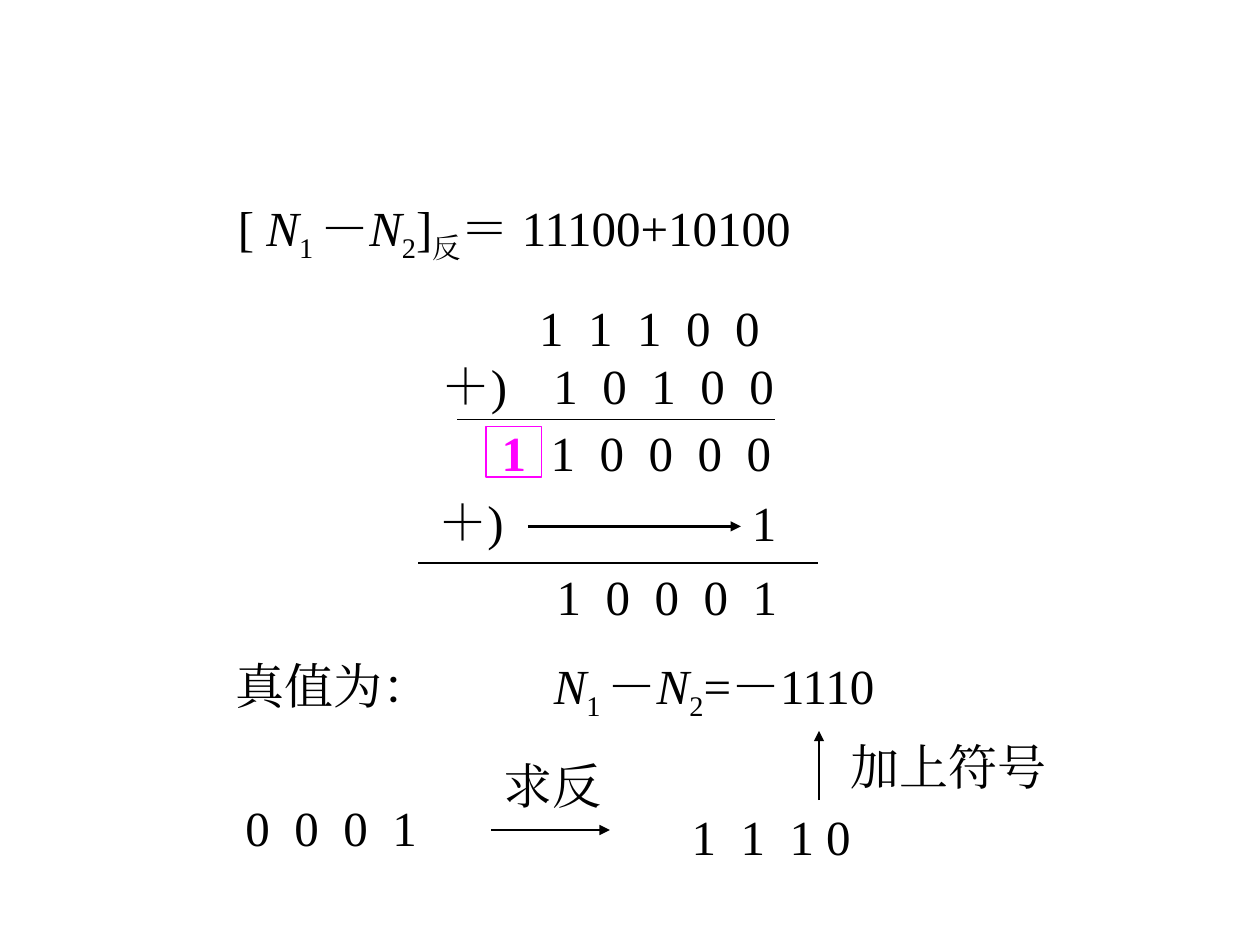
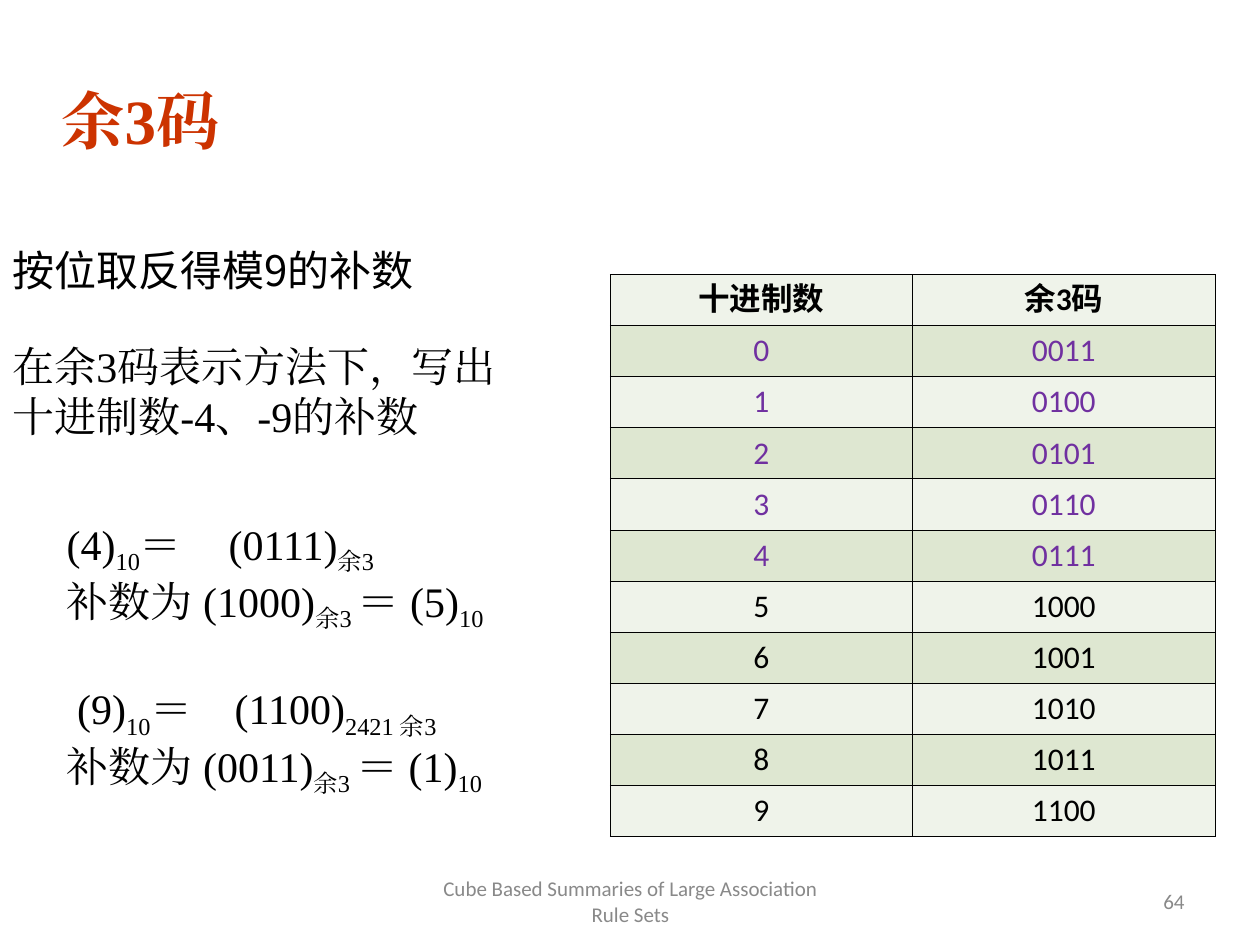
from dataclasses import dataclass
from typing import NamedTuple

from lxml import etree
from pptx import Presentation
from pptx.dml.color import RGBColor
from pptx.enum import lang, shapes, text
from pptx.oxml import ns
from pptx.util import Pt


@dataclass(frozen=True)
class Theme:
    black: str = "000000"
    magenta: str = "FF00FF"
    title_red: str = "CC3300"
    purple: str = "7030A0"
    grey: str = "898989"
    bands: tuple[str, str] = ("EFF3EA", "DEE7D1")
    serif: str = "Times New Roman"
    sans: str = "Calibri"
    chinese: str = "Noto Sans CJK SC"
    title_size: float = 36
    sum_size: float = 28
    body_size: float = 24
    table_size: float = 18
    footer_size: float = 12
    thin: float = 0.75
    thick: float = 1.5
    cell_border: float = 0.45


THEME = Theme()
LEFT, CENTER, RIGHT = text.PP_ALIGN.LEFT, text.PP_ALIGN.CENTER, text.PP_ALIGN.RIGHT
PLAIN_LEADING, SUBSCRIPT_LEADING = 1.2, 1.36
DIGIT_PITCH = 28


class Style(NamedTuple):
    size: float = THEME.sum_size
    color: str = THEME.black
    font: str = THEME.serif
    bold: bool = False


class Run(NamedTuple):
    text: str
    italic: bool = False
    subscript: bool = False
    bold: bool = False
    color: str | None = None


class Line(NamedTuple):
    runs: list[Run]
    tabs: tuple[float, ...] = ()
    space_before: float = 0
    leading: float | None = PLAIN_LEADING


class Label(NamedTuple):
    left: float
    top: float
    width: float
    height: float
    lines: list[Line]
    style: Style = Style()
    align: text.PP_ALIGN = LEFT
    anchor: text.MSO_ANCHOR = text.MSO_ANCHOR.TOP


class Stroke(NamedTuple):
    x1: float
    y1: float
    x2: float
    y2: float
    width: float = THEME.thin
    arrow: bool = False


def rgb(color: str) -> RGBColor:
    return RGBColor.from_string(color)


def sub(content: str) -> Run:
    return Run(content, subscript=True)


def var(content: str) -> Run:
    return Run(content, italic=True)


def plain(content: str) -> list[Line]:
    return [Line([Run(content)])]


def digit_tabs(first: float, count: int = 5) -> tuple[float, ...]:
    """Tab stops that put binary digits in equal columns."""
    return tuple(first + DIGIT_PITCH * i for i in range(count))


def digits(bits: str, lead: str = "", first: float = DIGIT_PITCH) -> Line:
    return Line([Run(lead + "\t".join(bits))], digit_tabs(first))


def add_tabs(paragraph, stops: tuple[float, ...]) -> None:
    tab_list = etree.SubElement(paragraph._p.get_or_add_pPr(), ns.qn("a:tabLst"))
    for stop in stops:
        etree.SubElement(tab_list, ns.qn("a:tab"), pos=str(Pt(stop)), algn="l")


def add_run(paragraph, run: Run, style: Style) -> None:
    part = paragraph.add_run()
    part.text = run.text
    font = part.font
    font.size, font.name = Pt(style.size), style.font
    font.bold, font.italic = run.bold or style.bold, run.italic
    font.color.rgb = rgb(run.color or style.color)
    font.language_id = lang.MSO_LANGUAGE_ID.SIMPLIFIED_CHINESE
    properties = part._r.get_or_add_rPr()
    etree.SubElement(properties, ns.qn("a:ea"), typeface=style.font)
    if run.subscript:
        properties.set("baseline", "-25000")


def fill_paragraph(paragraph, line: Line, style: Style, align: text.PP_ALIGN) -> None:
    if line.tabs:
        add_tabs(paragraph, line.tabs)
    paragraph.alignment = align
    if line.leading:
        paragraph.line_spacing = Pt(line.leading * style.size)
    if line.space_before:
        paragraph.space_before = Pt(line.space_before)
    for run in line.runs:
        add_run(paragraph, run, style)


def add_label(slide, label: Label) -> None:
    box = slide.shapes.add_textbox(
        Pt(label.left), Pt(label.top), Pt(label.width), Pt(label.height))
    frame = box.text_frame
    frame.word_wrap = True
    frame.vertical_anchor = label.anchor
    for i, line in enumerate(label.lines):
        paragraph = frame.add_paragraph() if i else frame.paragraphs[0]
        fill_paragraph(paragraph, line, label.style, label.align)


def add_stroke(slide, stroke: Stroke) -> None:
    connector = slide.shapes.add_connector(
        shapes.MSO_CONNECTOR.STRAIGHT,
        Pt(stroke.x1), Pt(stroke.y1), Pt(stroke.x2), Pt(stroke.y2))
    connector.line.color.rgb = rgb(THEME.black)
    connector.line.width = Pt(stroke.width)
    if stroke.arrow:
        etree.SubElement(connector.line._get_or_add_ln(), ns.qn("a:tailEnd"), type="triangle")
    etree.SubElement(connector._element.spPr, ns.qn("a:effectLst"))


def add_carry_frame(slide) -> None:
    frame = slide.shapes.add_shape(
        shapes.MSO_SHAPE.RECTANGLE, Pt(277.8), Pt(243.8), Pt(31.8), Pt(28.8))
    frame.shadow.inherit = False
    frame.fill.background()
    frame.line.color.rgb = rgb(THEME.magenta)
    frame.line.width = Pt(THEME.thin)


def add_borders(cell) -> None:
    properties = cell._tc.get_or_add_tcPr()
    for side in ("lnL", "lnR", "lnT", "lnB"):
        border = etree.SubElement(
            properties, ns.qn(f"a:{side}"), w=str(Pt(THEME.cell_border)))
        fill = etree.SubElement(border, ns.qn("a:solidFill"))
        etree.SubElement(fill, ns.qn("a:srgbClr"), val=THEME.black)


def add_code_table(slide) -> None:
    """Decimal digits 0 to 9 beside their excess-3 codes."""
    rows = [("十进制数", "余3码")] + [(str(n), f"{n + 3:04b}") for n in range(10)]
    row_height, column_width = 29.2, 172.8
    table = slide.shapes.add_table(
        len(rows), 2, Pt(348.7), Pt(156.8),
        Pt(2 * column_width), Pt(row_height * len(rows))).table
    table.first_row = table.horz_banding = False
    for column in table.columns:
        column.width = Pt(column_width)
    for r, values in enumerate(rows):
        table.rows[r].height = Pt(row_height)
        color = THEME.purple if 1 <= r <= 5 else THEME.black
        style = Style(THEME.table_size, color, THEME.sans, bold=r == 0)
        for c, value in enumerate(values):
            cell = table.cell(r, c)
            add_borders(cell)
            cell.fill.solid()
            cell.fill.fore_color.rgb = rgb(THEME.bands[r % 2])
            line = Line([Run(value)], leading=None)
            fill_paragraph(cell.text_frame.paragraphs[0], line, style, CENTER)


def add_footer(slide, content: str, left: float, width: float, align: text.PP_ALIGN) -> None:
    add_label(slide, Label(
        left, 500.5, width, 28.8, [Line([Run(content)], leading=None)],
        Style(THEME.footer_size, THEME.grey, THEME.sans), align, text.MSO_ANCHOR.MIDDLE))


def difference() -> list[Run]:
    return [var("N"), sub("1 "), Run("－"), var("N"), sub("2")]


def build_subtraction(slide) -> None:
    carry = Run("1", bold=True, color=THEME.magenta)
    labels = [
        Label(128.9, 109.4, 366, 45.4, [Line(
            [Run("[ "), *difference(), Run("]"), sub("反"), Run("＝ 11100+10100")],
            leading=SUBSCRIPT_LEADING)]),
        Label(245.5, 166.3, 216, 74.9,
              [digits("11100", "\t", 55.5), digits("10100", "＋)\t", 63.7)]),
        Label(279.5, 238, 176, 41,
              [Line([carry, Run("\t" + "\t".join("10000"))], digit_tabs(DIGIT_PITCH))]),
        Label(243.4, 277.5, 60, 41, plain("＋)")),
        Label(422.6, 278, 30, 41, plain("1")),
        Label(311, 320, 150, 41, [digits("10001")]),
        Label(127.4, 371, 414, 45.4, [Line(
            [Run("真值为：\t"), *difference(), Run("=－1110")],
            tabs=(182,), leading=SUBSCRIPT_LEADING)]),
        Label(133.2, 452, 119, 41, [digits("0001")]),
        Label(388.1, 457.5, 161, 41, [Line([Run("1\t1\t1 0")], digit_tabs(DIGIT_PITCH, 2))]),
        Label(478.8, 417.6, 130.3, 41, plain("加上符号")),
        Label(280.8, 428.4, 79.2, 41, plain("求反")),
    ]
    strokes = [
        Stroke(261.4, 239.6, 442.8, 239.6),
        Stroke(301.7, 300.8, 423.4, 300.8, THEME.thick, True),
        Stroke(239, 321.8, 467.3, 321.8),
        Stroke(280.8, 474.3, 348.5, 474.3, THEME.thick, True),
        Stroke(468, 457.2, 468, 417.6, THEME.thick, True),
    ]
    for label in labels:
        add_label(slide, label)
    for stroke in strokes:
        add_stroke(slide, stroke)
    add_carry_frame(slide)


def complement_lines(digit: str, code: str, code_base: str, code_tab: float,
                     complement: str, result: str, space_before: float = 0) -> list[Line]:
    return [
        Line([Run(digit), sub("10"), Run(f"＝\t{code}"), sub(code_base)],
             (code_tab,), space_before, SUBSCRIPT_LEADING),
        Line([Run(f"补数为 {complement}"), sub("余3 "), Run(f"＝ {result}"), sub("10")],
             leading=SUBSCRIPT_LEADING),
    ]


def build_excess_three(slide) -> None:
    body = Style(THEME.body_size)
    add_footer(slide, "Cube Based Summaries of Large Association Rule Sets", 246.2, 228.2, CENTER)
    add_footer(slide, "64", 516.2, 167.8, RIGHT)
    add_code_table(slide)
    labels = [
        Label(0, 190.8, 325.4, 64.8,
              plain("在余3码表示方法下，写出") + plain("十进制数-4、-9的补数"), body),
        Label(31, 292.6, 293.8, 245,
              complement_lines("(4)", "(0111)", "余3", 92.6, "(1000)", "(5)")
              + complement_lines(" (9)", "(1100)", "2421 余3", 96, "(0011)", "(1)", 29),
              body),
        Label(28.1, 43.2, 128, 50.4, plain("余3码"),
              Style(THEME.title_size, THEME.title_red, bold=True)),
        Label(0, 133.9, 305.3, 36, [Line([Run("按位取反得模9的补数")], leading=1.3)],
              Style(THEME.body_size, font=THEME.chinese)),
    ]
    for label in labels:
        add_label(slide, label)


def main() -> None:
    presentation = Presentation()
    presentation.slide_width, presentation.slide_height = Pt(720), Pt(540)
    blank = presentation.slide_layouts[6]
    for build in (build_subtraction, build_excess_three):
        build(presentation.slides.add_slide(blank))
    presentation.save("out.pptx")


if __name__ == "__main__":
    main()
